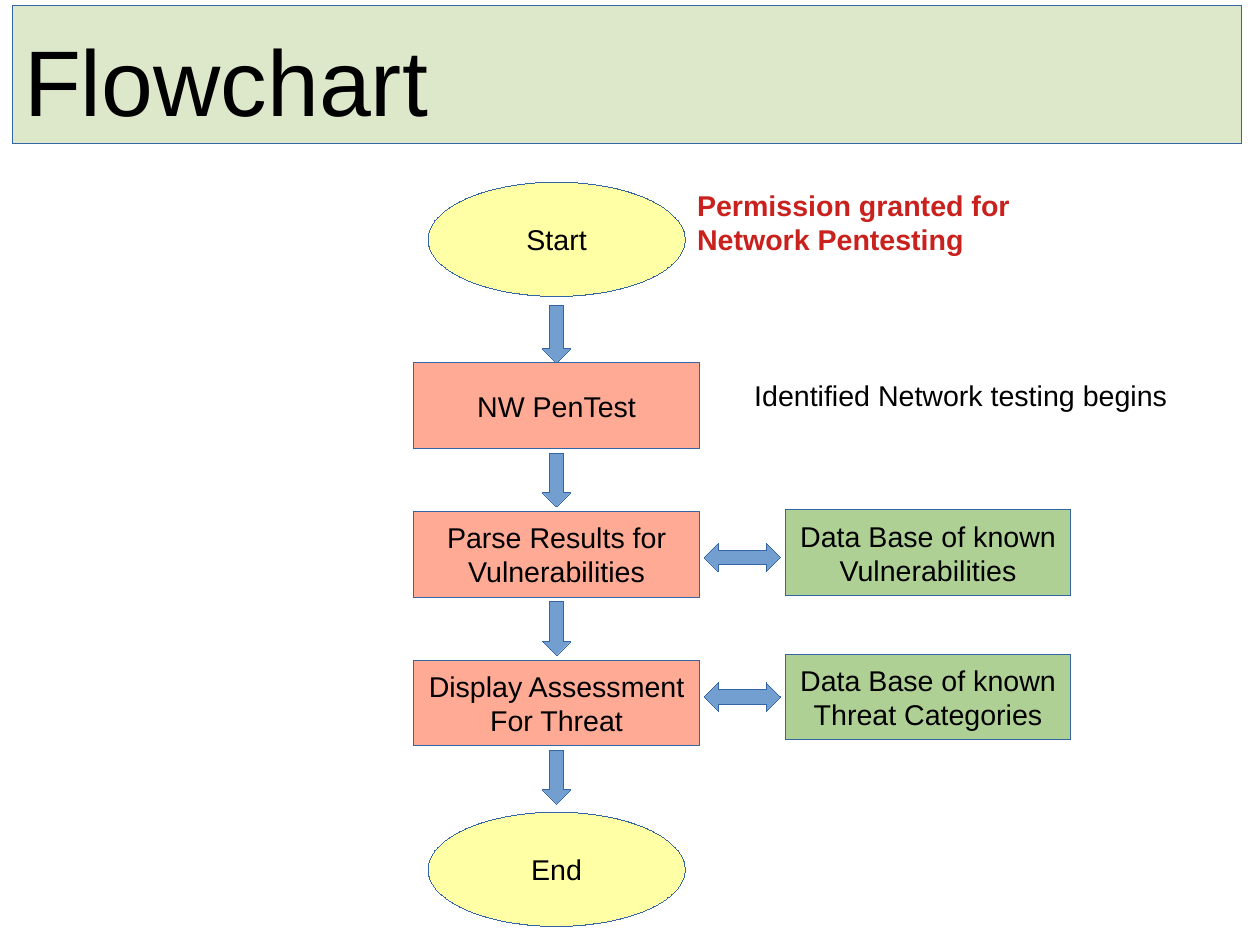
from dataclasses import dataclass
from typing import Optional

from pptx import Presentation
from pptx.dml.color import RGBColor
from pptx.enum.shapes import MSO_SHAPE
from pptx.enum.text import MSO_ANCHOR, PP_ALIGN
from pptx.oxml.ns import qn
from pptx.util import Cm, Inches, Pt

RECT, OVAL = MSO_SHAPE.RECTANGLE, MSO_SHAPE.OVAL
DOWN, BOTH_WAYS = MSO_SHAPE.DOWN_ARROW, MSO_SHAPE.LEFT_RIGHT_ARROW
MIDDLE, TOP = MSO_ANCHOR.MIDDLE, MSO_ANCHOR.TOP
CENTER, LEFT = PP_ALIGN.CENTER, PP_ALIGN.LEFT

BLACK = RGBColor(0x00, 0x00, 0x00)
RED = RGBColor(0xC9, 0x21, 0x1E)
OUTLINE = RGBColor(0x34, 0x65, 0xA4)
BANNER = RGBColor(0xDD, 0xE8, 0xCB)
YELLOW = RGBColor(0xFF, 0xFF, 0xA6)
SALMON = RGBColor(0xFF, 0xAA, 0x95)
GREEN = RGBColor(0xAF, 0xD0, 0x95)
BLUE = RGBColor(0x72, 0x9F, 0xCF)

# Grid: column 0 holds the main flow, row 0 its first step
COL_0, COL_STEP = 4.87, 3.25
ROW_0, ROW_STEP = 3.55, 1.3
FONT = "Arial"


@dataclass(frozen=True)
class Size:
    width: float
    height: float


@dataclass(frozen=True)
class Node:
    kind: MSO_SHAPE
    col: float
    row: float
    size: Size
    fill: RGBColor
    text: str = ""


@dataclass(frozen=True)
class Label:
    col: float
    row: float
    size: Size
    text: str
    points: float = 18
    color: RGBColor = BLACK
    bold: Optional[bool] = None
    align: PP_ALIGN = LEFT
    anchor: MSO_ANCHOR = TOP
    inset: bool = True


HEADER = Size(10.75, 1.21)
TERMINAL = Size(2.25, 1)
STEP = Size(2.5, 0.75)
DOWN_SIZE = Size(0.25, 0.47)
SIDE_SIZE = Size(0.67, 0.25)

NODES = [
    # Banner
    Node(RECT, 0.19, -2.23, HEADER, BANNER),
    # Main flow
    Node(OVAL, 0, -1.12, TERMINAL, YELLOW, "Start"),
    Node(RECT, 0, 0, STEP, SALMON, "NW PenTest"),
    Node(RECT, 0, 1, STEP, SALMON, "Parse Results for\nVulnerabilities"),
    Node(RECT, 0, 2, STEP, SALMON, "Display Assessment\nFor Threat"),
    Node(OVAL, 0, 3.12, TERMINAL, YELLOW, "End"),
    # Databases
    Node(RECT, 1, 0.99, STEP, GREEN, "Data Base of known\nVulnerabilities"),
    Node(RECT, 1, 1.96, STEP, GREEN, "Data Base of known\nThreat Categories"),
    # Arrows
    Node(DOWN, 0, -0.48, Size(0.25, 0.5), BLUE),
    *(Node(DOWN, 0, row + 0.5, DOWN_SIZE, BLUE) for row in range(3)),
    *(Node(BOTH_WAYS, 0.5, row, SIDE_SIZE, BLUE) for row in (1.02, 1.96)),
]

LABELS = [
    Label(-0.89, -2.2, Size(3.95, 1.38), "Flowchart", points=58.7,
          align=CENTER, anchor=MIDDLE, inset=False),
    Label(0.92, -1.25, Size(3.72, 0.66),
          "Permission granted for\nNetwork Pentesting", color=RED, bold=True),
    Label(1.1, -0.08, Size(3.89, 0.38), "Identified Network testing begins"),
]


def place(col: float, row: float, size: Size) -> tuple:
    """Return left, top, width and height of a box centred on a grid point."""
    left = COL_0 + col * COL_STEP - size.width / 2
    top = ROW_0 + row * ROW_STEP - size.height / 2
    return tuple(Inches(v) for v in (left, top, size.width, size.height))


def write(tf, text: str, points: float, color: RGBColor,
          bold: Optional[bool], align: PP_ALIGN, anchor: MSO_ANCHOR) -> None:
    tf.text = text
    tf.vertical_anchor = anchor
    for p in tf.paragraphs:
        p.alignment = align
        for r in p.runs:
            r.font.name = FONT
            r.font.size = Pt(points)
            r.font.bold = bold
            r.font.color.rgb = color


def draw_node(slide, node: Node) -> None:
    sp = slide.shapes.add_shape(node.kind, *place(node.col, node.row, node.size))
    sp.shadow.inherit = False
    sp.fill.solid()
    sp.fill.fore_color.rgb = node.fill
    sp.line.color.rgb = OUTLINE
    sp.line.width = Pt(0)
    # Drop the theme style so that the outline stays a hairline
    sp.element.remove(sp.element.find(qn("p:style")))
    if node.text:
        sp.text_frame.word_wrap = False
        write(sp.text_frame, node.text, 18, BLACK, None, CENTER, MIDDLE)


def draw_label(slide, label: Label) -> None:
    tf = slide.shapes.add_textbox(
        *place(label.col, label.row, label.size)).text_frame
    tf.word_wrap = True
    if not label.inset:
        tf.margin_left = tf.margin_right = tf.margin_top = tf.margin_bottom = 0
    write(tf, label.text, label.points, label.color, label.bold,
          label.align, label.anchor)


def main() -> None:
    prs = Presentation()
    prs.slide_width, prs.slide_height = Cm(28), Cm(21)
    slide = prs.slides.add_slide(prs.slide_layouts[6])
    for node in NODES:
        draw_node(slide, node)
    for label in LABELS:
        draw_label(slide, label)
    prs.save("out.pptx")


if __name__ == "__main__":
    main()
